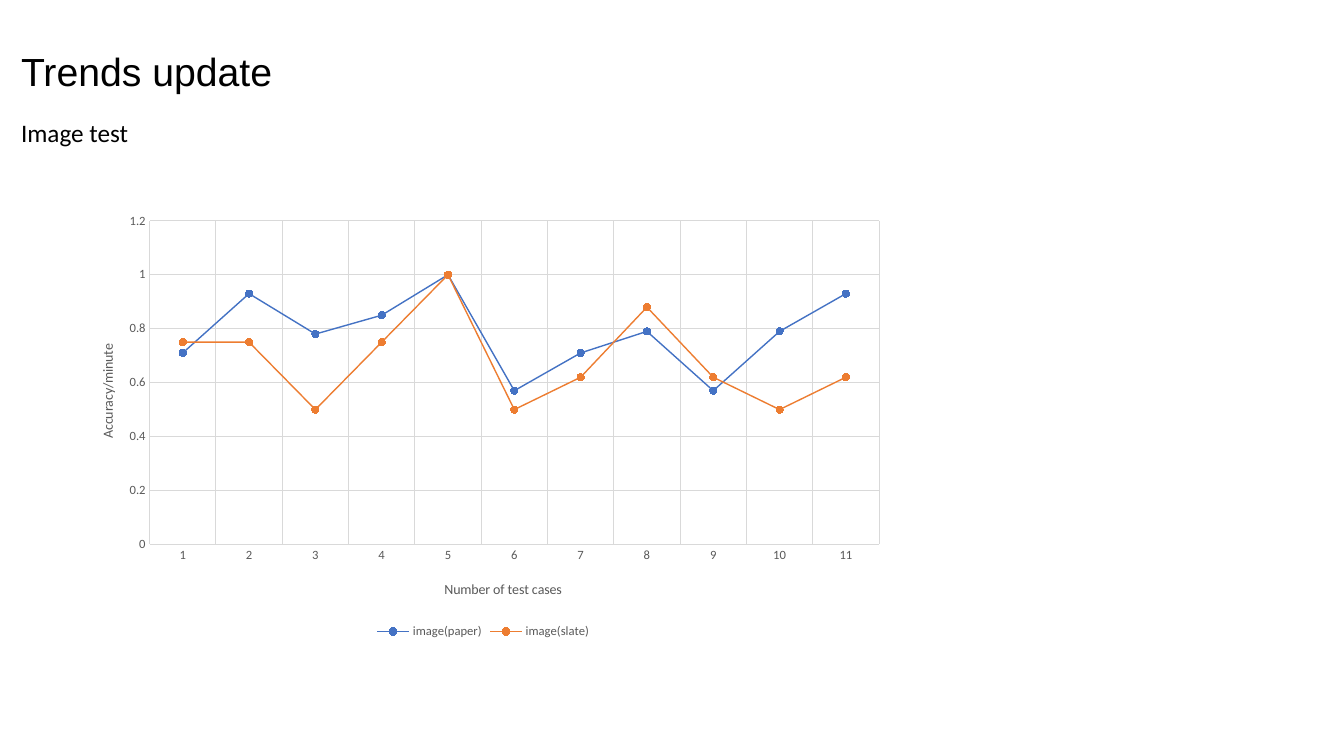
from lxml import etree
from pptx import Presentation
from pptx.chart.data import CategoryChartData
from pptx.dml.color import RGBColor
from pptx.enum.chart import (XL_CHART_TYPE, XL_LEGEND_POSITION,
                             XL_MARKER_STYLE, XL_TICK_MARK)
from pptx.enum.text import MSO_ANCHOR, PP_ALIGN
from pptx.oxml.ns import qn
from pptx.util import Cm, Pt

LINE_MARKERS = XL_CHART_TYPE.LINE_MARKERS
LEGEND_BOTTOM = XL_LEGEND_POSITION.BOTTOM
CIRCLE = XL_MARKER_STYLE.CIRCLE
NO_TICK = XL_TICK_MARK.NONE
TOP = MSO_ANCHOR.TOP
LEFT = PP_ALIGN.LEFT

BLACK, GREY, GRID = "000000", "595959", "D9D9D9"
SERIES = [
    ("image(paper)", "4472C4",
     [0.71, 0.93, 0.78, 0.85, 1, 0.57, 0.71, 0.79, 0.57, 0.79, 0.93]),
    ("image(slate)", "ED7D31",
     [0.75, 0.75, 0.5, 0.75, 1, 0.5, 0.62, 0.88, 0.62, 0.5, 0.62]),
]


def rgb(color):
    return RGBColor.from_string(color)


def style_font(font, size, color=BLACK, name="Calibri"):
    font.size, font.name, font.bold = Pt(size), name, False
    font.color.rgb = rgb(color)


def style_line(line, color, width):
    line.color.rgb = rgb(color)
    line.width = Pt(width)


def write_text(text_frame, text, line_spacing=1.0, **font_format):
    paragraph = text_frame.paragraphs[0]
    paragraph.line_spacing = line_spacing
    paragraph.space_before = Pt(0)
    run = paragraph.add_run()
    run.text = text
    style_font(run.font, **font_format)
    return paragraph


def fill_placeholder(shape, box, text, inset, **text_format):
    shape.left, shape.top, shape.width, shape.height = map(Cm, box)
    frame = shape.text_frame
    frame.word_wrap = True
    frame.vertical_anchor = TOP
    frame.margin_left = frame.margin_right = Cm(0.25)
    frame.margin_top = frame.margin_bottom = Cm(inset)
    paragraph = write_text(frame, text, **text_format)
    paragraph.alignment = LEFT
    # No bullet and no hanging indent
    properties = paragraph._p.get_or_add_pPr()
    properties.set("marL", "0")
    properties.set("indent", "0")
    etree.SubElement(properties, qn("a:buNone"))


def set_layout(element, index, **fractions):
    """Place a chart part by fractions of the chart area."""
    for old_layout in element.findall(qn("c:layout")):
        element.remove(old_layout)
    layout = etree.Element(qn("c:layout"))
    element.insert(index, layout)
    manual = etree.SubElement(layout, qn("c:manualLayout"))
    if "w" in fractions:
        etree.SubElement(manual, qn("c:layoutTarget")).set("val", "inner")
    for key in ("x", "y"):
        etree.SubElement(manual, qn(f"c:{key}Mode")).set("val", "edge")
    for key, value in fractions.items():
        etree.SubElement(manual, qn(f"c:{key}")).set("val", str(value))


def style_axis(axis, title, x, y):
    axis.major_tick_mark = axis.minor_tick_mark = NO_TICK
    axis.has_major_gridlines = True
    style_line(axis.major_gridlines.format.line, GRID, 0.75)
    style_font(axis.tick_labels.font, 9, GREY)
    write_text(axis.axis_title.text_frame, title, size=10, color=GREY)
    set_layout(axis.axis_title._element, 1, x=x, y=y)


def add_line_chart(slide, box):
    data = CategoryChartData()
    data.categories = [str(case) for case in range(1, 12)]
    for name, _, values in SERIES:
        data.add_series(name, values)
    chart = slide.shapes.add_chart(LINE_MARKERS, *map(Cm, box), data).chart
    chart.has_title = False
    style_font(chart.font, 10)
    set_layout(chart._chartSpace.chart.plotArea, 0,
               x=0.095, y=0.035, w=0.886, h=0.74)

    # Axes
    style_axis(chart.category_axis, "Number of test cases", 0.45, 0.85)
    style_line(chart.category_axis.format.line, GRID, 0.75)
    value_axis = chart.value_axis
    style_axis(value_axis, "Accuracy/minute", 0.03, 0.31)
    value_axis.format.line.fill.background()
    value_axis.minimum_scale, value_axis.maximum_scale = 0, 1.2
    value_axis.major_unit = 0.2

    # Legend
    chart.has_legend = True
    chart.legend.position = LEGEND_BOTTOM
    chart.legend.include_in_layout = False
    style_font(chart.legend.font, 9, GREY)

    # Series
    chart.plots[0].vary_by_categories = False
    for series, (_, color, _) in zip(chart.series, SERIES):
        series.smooth = False
        style_line(series.format.line, color, 1)
        marker = series.marker
        marker.style, marker.size = CIRCLE, 5
        marker.format.fill.solid()
        marker.format.fill.fore_color.rgb = rgb(color)
        style_line(marker.format.line, color, 0.75)


def main():
    presentation = Presentation()
    presentation.slide_width, presentation.slide_height = Cm(33.87), Cm(19.05)
    slide = presentation.slides.add_slide(presentation.slide_layouts[1])

    # Heading
    title, body = slide.placeholders
    fill_placeholder(title, (0.28, 1.07, 19.63, 1.75), "Trends update", 0.25,
                     line_spacing=0.9, size=28, name="Arial")
    fill_placeholder(body, (0.28, 2.82, 11.58, 3.33), "Image test", 0.13,
                     size=18)

    # Accuracy trend
    add_line_chart(slide, (1.8, 5.18, 20.75, 11.02))
    presentation.save("out.pptx")


main()
